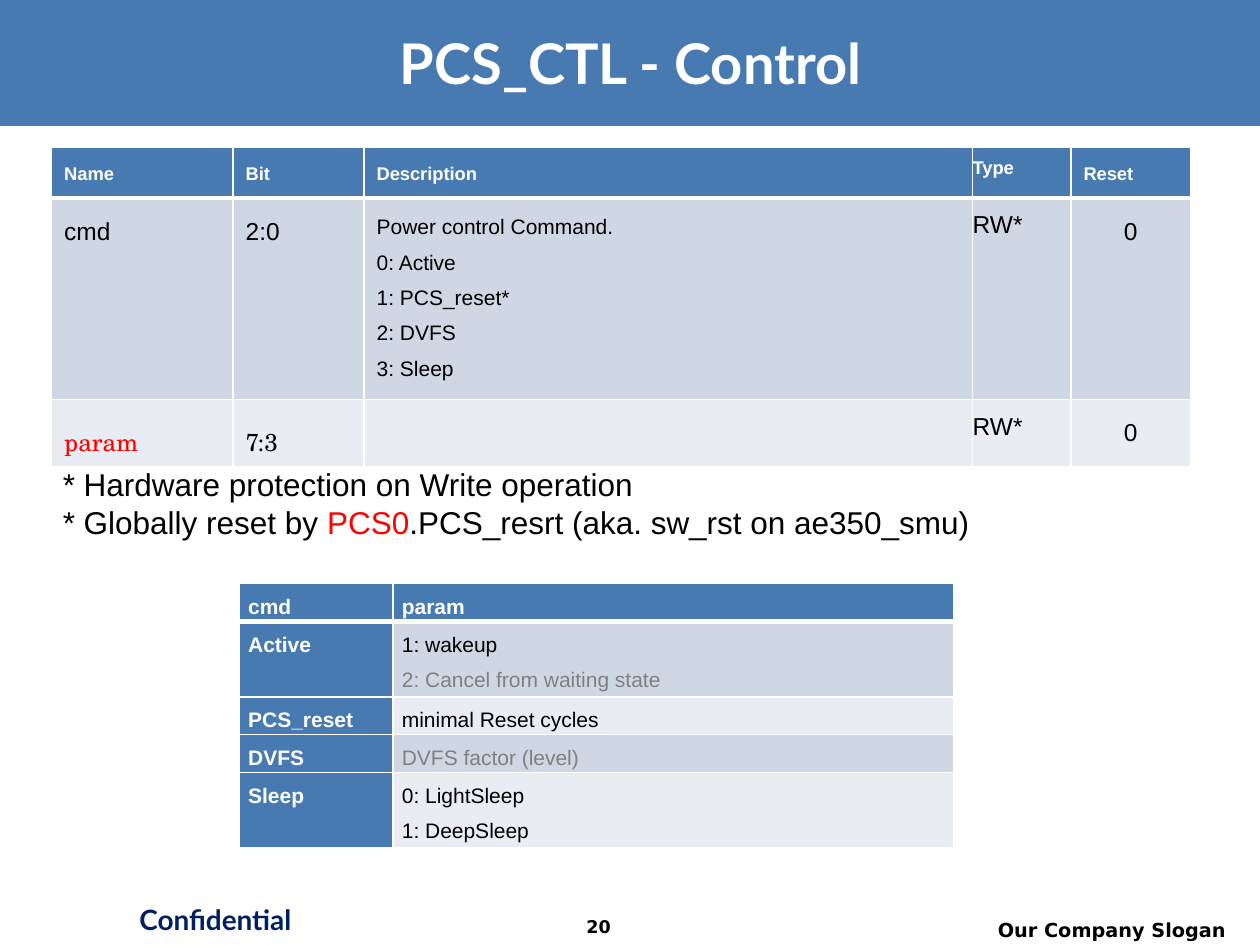
from lxml.etree import SubElement, fromstring
from pptx import Presentation
from pptx.dml.color import RGBColor
from pptx.enum.shapes import MSO_SHAPE
from pptx.enum.text import MSO_ANCHOR, PP_ALIGN
from pptx.oxml.ns import qn
from pptx.util import Inches, Pt

COLORS = {"blue": "477AB1", "navy": "002060", "white": "FFFFFF", "black": "000000",
          "red": "FF0000", "gray": "808080", "band": "CFD7E4", "light": "E9ECF2"}
SHADOW = ('<a:effectLst xmlns:a="http://schemas.openxmlformats.org/drawingml/2006/main">'
          '<a:outerShdw dist="38100" dir="2700000"><a:srgbClr val="000000"/>'
          '</a:outerShdw></a:effectLst>')


def rgb(name):
    """Return the named colour."""
    return RGBColor.from_string(COLORS[name])


def write(tf, text, size=12, font="Arial", color="black", bold=False,
          align=PP_ALIGN.LEFT, spacing=None, shadow=False):
    """Write newline-separated text, or a list of lines of (text, colour) runs."""
    lines = text if isinstance(text, list) else [[(t, color)] for t in text.split("\n")]
    for i, line in enumerate(lines):
        p = tf.paragraphs[0] if i == 0 else tf.add_paragraph()
        p.alignment = align
        p.line_spacing = spacing
        for part, tint in line:
            r = p.add_run()
            r.text = part
            r.font.size, r.font.bold = Pt(size), bold
            r.font.color.rgb = rgb(tint)
            if shadow:
                r.font.fill._xPr.append(fromstring(SHADOW))
            r.font.name = font


def add_label(s, box, text, wrap=True, anchor=MSO_ANCHOR.TOP, **fmt):
    """Add a text box."""
    tf = s.shapes.add_textbox(*map(Inches, box)).text_frame
    tf.word_wrap = wrap
    tf.vertical_anchor = anchor
    write(tf, text, **fmt)


def add_band(s, box):
    """Add the coloured title band."""
    sp = s.shapes.add_shape(MSO_SHAPE.RECTANGLE, *map(Inches, box))
    sp.shadow.inherit = False
    sp.fill.solid()
    sp.fill.fore_color.rgb = rgb("blue")
    sp.line.fill.background()


def style_cell(cell, fill, top, bottom):
    """Give a cell white borders and a solid fill."""
    tc_pr = cell._tc.get_or_add_tcPr()
    for side, width in (("L", 1), ("R", 1), ("T", top), ("B", bottom)):
        ln = SubElement(tc_pr, qn(f"a:ln{side}"), w=str(Pt(width)))
        SubElement(SubElement(ln, qn("a:solidFill")), qn("a:srgbClr"), val=COLORS["white"])
    cell.fill.solid()
    cell.fill.fore_color.rgb = rgb(fill)


def add_grid(s, left, top, widths, heights, rows, cell_format, first_col=False):
    """Add a banded table; cell_format gives (insets, text format) for a place."""
    table = s.shapes.add_table(len(rows), len(widths), Inches(left), Inches(top),
                               Inches(sum(widths)), Inches(sum(heights))).table
    for col, width in zip(table.columns, widths):
        col.width = Inches(width)
    for i, (row, height) in enumerate(zip(rows, heights)):
        table.rows[i].height = Inches(height)
        for j, text in enumerate(row):
            cell = table.cell(i, j)
            head = i == 0 or (first_col and j == 0)
            fill = "blue" if head else "band" if i % 2 else "light"
            style_cell(cell, fill, 3 if i == 1 else 1, 3 if i == 0 else 1)
            (side, edge), fmt = cell_format(i, j)
            cell.margin_left = cell.margin_right = Inches(side)
            cell.margin_top = cell.margin_bottom = Inches(edge)
            if text:
                write(cell.text_frame, text, spacing=1.5, **fmt)


def register_format(i, j):
    """Return the insets and text format of a register table cell."""
    insets = (0, 0) if j == 3 else (0.1, 0.05)
    if i == 0:
        return insets, dict(size=10.5, color="white", bold=True)
    fmt = dict(size=12 if j == 2 else 14)
    if j == 4:
        fmt["align"] = PP_ALIGN.CENTER
    if i == 2 and j < 2:
        fmt.update(font="TeX Gyre Schola", color="black" if j else "red")
    return insets, fmt


def command_format(i, j):
    """Return the insets and text format of a command table cell."""
    head = i == 0 or j == 0
    return (0.07, 0), dict(color="white" if head else "black", bold=head)


def main():
    """Build the slide."""
    prs = Presentation()
    prs.slide_width, prs.slide_height = Inches(10), Inches(7.5)
    s = prs.slides.add_slide(prs.slide_layouts[6])
    center = PP_ALIGN.CENTER
    add_band(s, (0, 0, 10, 1))
    add_label(s, (0.89, 7.11, 1.64, 0.42), "Confidential", size=16, font="Lato",
              color="navy", bold=True, align=center)
    add_label(s, (7.46, 7.24, 2.37, 0.26), "Our Company Slogan", size=11,
              font="DejaVu Sans", bold=True, align=PP_ALIGN.RIGHT)
    add_label(s, (4.29, 7.22, 0.92, 0.28), "20", size=10, font="DejaVu Sans",
              bold=True, align=center)
    add_label(s, (0.35, 0.16, 9.31, 0.66), "PCS_CTL - Control", anchor=MSO_ANCHOR.MIDDLE,
              size=32, font="Lato", color="white", bold=True, align=center, shadow=True)
    add_grid(s, 0.41, 1.17, (1.44, 1.04, 4.83, 0.78, 0.95), (0.4, 1.5, 0.53), [
        ("Name", "Bit", "Description", "Type", "Reset"),
        ("cmd", "2:0", "Power control Command.\n0: Active\n1: PCS_reset*\n2: DVFS\n3: Sleep",
         "RW*", "0"),
        ("param", "7:3", "", "RW*", "0"),
    ], register_format)
    add_grid(s, 1.9, 4.63, (1.22, 4.45), (0.28, 0.56, 0.28, 0.28, 0.56), [
        ("cmd", "param"),
        ("Active", [[("1: wakeup", "black")], [("2: Cancel from waiting state", "gray")]]),
        ("PCS_reset", "minimal Reset cycles"),
        ("DVFS", [[("DVFS factor (level)", "gray")]]),
        ("Sleep", "0: LightSleep\n1: DeepSleep"),
    ], command_format, first_col=True)
    add_label(s, (0.4, 3.64, 7.4, 0.71), [
        [("* Hardware protection on Write operation", "black")],
        [("* Globally reset by ", "black"), ("PCS0", "red"),
         (".PCS_resrt (aka. sw_rst on ae350_smu)", "black")],
    ], wrap=False, size=18)
    prs.save("out.pptx")


if __name__ == "__main__":
    main()
